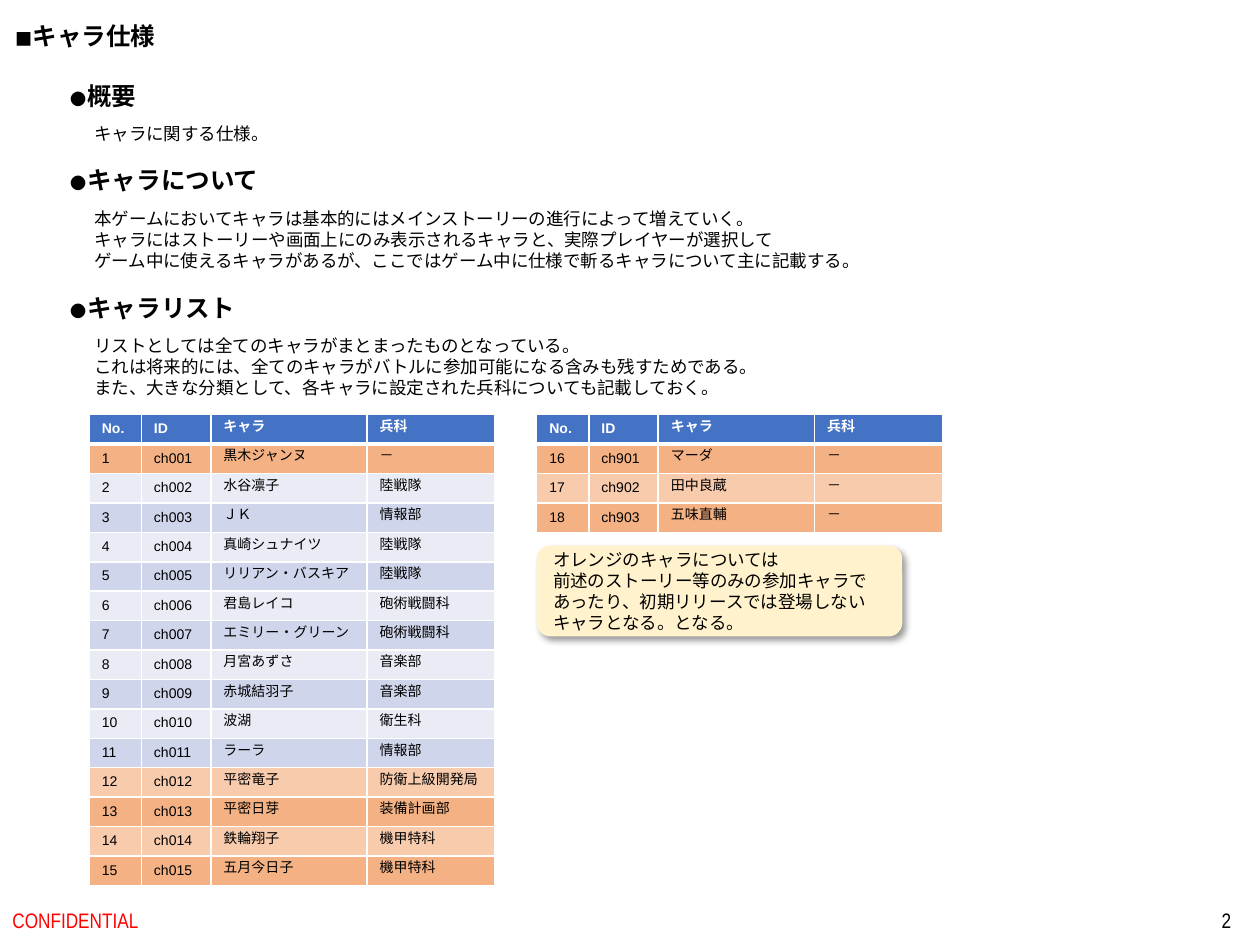
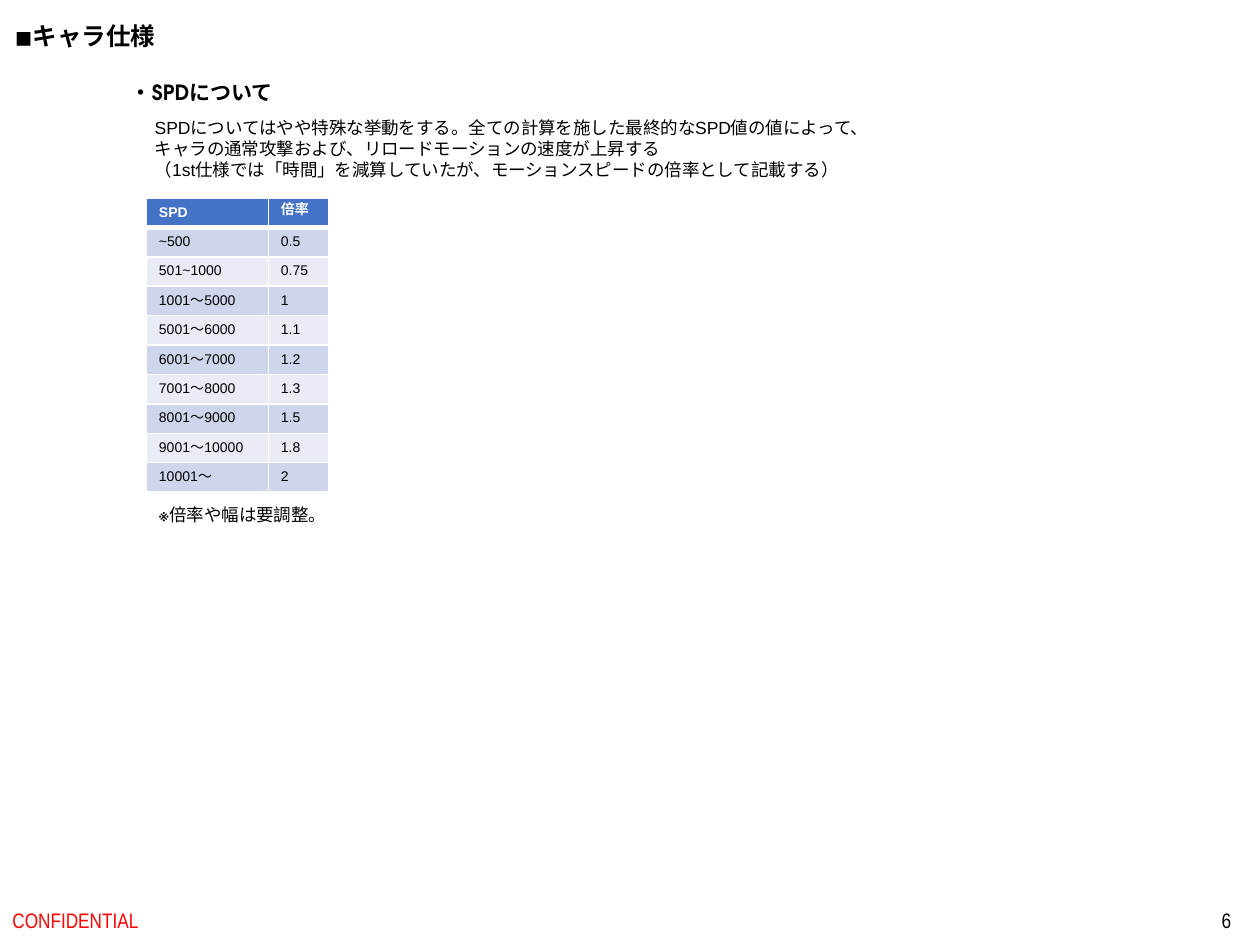
"""Build the two character specification slides."""
from dataclasses import dataclass

from lxml.etree import SubElement as Sub
from pptx import Presentation
from pptx.dml.color import RGBColor as Rgb
from pptx.enum.shapes import MSO_SHAPE as Shape
from pptx.enum.text import MSO_ANCHOR as Anchor, MSO_AUTO_SIZE as Auto, PP_ALIGN as Align
from pptx.oxml.ns import qn
from pptx.util import Cm, Pt


@dataclass(frozen=True)
class Theme:
    """Hold the colours, fonts and type sizes."""
    ink: str = "000000"
    white: str = "FFFFFF"
    red: str = "FF0000"
    head: str = "4472C4"
    note: str = "FFF2CC"
    blue: tuple = ("E9EBF5", "CFD5EA")
    orange: tuple = ("F8CBAD", "F4B183")
    sans: str = "Arial"
    slim: str = "Arial Narrow"
    round: str = "TeX Gyre Adventor"
    title: int = 14
    sub: int = 12
    body: int = 10
    cell: int = 8


T = Theme()
ROW = 0.59
HEADS = ("No.", "ID", "キャラ", "兵科")
WIDTHS = (1.05, 1.4, 3.15, 2.58)
MAIN = (
    ("黒木ジャンヌ", "－"), ("水谷凛子", "陸戦隊"), ("ＪＫ", "情報部"),
    ("真崎シュナイツ", "陸戦隊"), ("リリアン・バスキア", "陸戦隊"),
    ("君島レイコ", "砲術戦闘科"), ("エミリー・グリーン", "砲術戦闘科"),
    ("月宮あずさ", "音楽部"), ("赤城結羽子", "音楽部"), ("波湖", "衛生科"),
    ("ラーラ", "情報部"), ("平密竜子", "防衛上級開発局"), ("平密日芽", "装備計画部"),
    ("鉄輪翔子", "機甲特科"), ("五月今日子", "機甲特科"),
)
EXTRA = (("マーダ", "－"), ("田中良蔵", "－"), ("五味直輔", "－"))
SPEEDS = (
    ("~500", "0.5"), ("501~1000", "0.75"), ("1001～5000", "1"),
    ("5001～6000", "1.1"), ("6001～7000", "1.2"), ("7001～8000", "1.3"),
    ("8001～9000", "1.5"), ("9001～10000", "1.8"), ("10001～", "2"),
)


def write(frame, text, size=T.body, font=T.round, color=T.ink, bold=False, align=Align.LEFT):
    """Write each line of text as a formatted paragraph."""
    for i, line in enumerate(text.split("\n")):
        para = frame.add_paragraph() if i else frame.paragraphs[0]
        para.alignment = align
        run = para.add_run()
        run.text = line
        run.font.size, run.font.name, run.font.bold = Pt(size), font, bold
        run.font.color.rgb = Rgb.from_string(color)
        Sub(run._r.get_or_add_rPr(), qn("a:ea"), typeface=T.round)


def label(slide, box, text, **style):
    """Add a text box that fits its unwrapped lines."""
    frame = slide.shapes.add_textbox(*map(Cm, box)).text_frame
    frame.word_wrap, frame.auto_size = False, Auto.SHAPE_TO_FIT_TEXT
    write(frame, text, **style)


def footer(slide, left, width, text, **style):
    """Add one part of the bottom band."""
    frame = slide.shapes.add_textbox(Cm(left), Cm(18.03), Cm(width), Cm(1.02)).text_frame
    frame.word_wrap, frame.vertical_anchor = True, Anchor.MIDDLE
    write(frame, text, size=T.sub, font=T.slim, **style)


def page(deck, number):
    """Add a blank slide with its title and footers."""
    slide = deck.slides.add_slide(deck.slide_layouts[6])
    label(slide, (0.05, 0.3, 3.5, 0.86), "■キャラ仕様", size=T.title, font=T.sans, bold=True)
    footer(slide, 0, 8.59, "CONFIDENTIAL", color=T.red)
    footer(slide, 19.35, 5.72, str(number), align=Align.RIGHT)
    return slide


def section(slide, top, width, text):
    """Add a section heading."""
    label(slide, (1.14, top, width, 0.86), text, size=T.title, bold=True)


def edge(cell, row):
    """Draw white cell borders, thick under the header."""
    props = cell._tc.get_or_add_tcPr()
    for side in "LRTB":
        thick = (row, side) in ((0, "B"), (1, "T"))
        line = Sub(props, qn(f"a:ln{side}"), w=str(Pt(3 if thick else 1)))
        Sub(Sub(line, qn("a:solidFill")), qn("a:srgbClr"), val=T.white)


def grid(slide, left, top, widths, rows, warm=()):
    """Add a banded table; rows numbered in warm are orange."""
    table = slide.shapes.add_table(len(rows), len(widths), Cm(left), Cm(top),
                                   Cm(sum(widths)), Cm(ROW * len(rows))).table
    table.first_row = table.horz_banding = False
    for col, width in zip(table.columns, widths):
        col.width = Cm(width)
    for r, row in enumerate(rows):
        table.rows[r].height = Cm(ROW)
        band = T.orange if r in warm else T.blue
        for c, text in enumerate(row):
            cell = table.cell(r, c)
            edge(cell, r)
            cell.fill.solid()
            cell.fill.fore_color.rgb = Rgb.from_string(band[r % 2] if r else T.head)
            write(cell.text_frame, text, size=T.cell, font=T.sans,
                  color=T.ink if r else T.white, bold=not r)


def roster(people, number, code):
    """Number the characters under the column heads."""
    return [HEADS] + [(str(number + i), f"ch{code + i:03}", *who)
                      for i, who in enumerate(people)]


def callout(slide, box, text):
    """Add a rounded note with a soft shadow."""
    note = slide.shapes.add_shape(Shape.ROUNDED_RECTANGLE, *map(Cm, box))
    note.adjustments[0] = 0.15
    note.fill.solid()
    note.fill.fore_color.rgb = Rgb.from_string(T.note)
    note.line.fill.background()
    note.shadow.inherit = False
    glow = Sub(note._element.spPr.find(qn("a:effectLst")), qn("a:outerShdw"),
               blurRad=str(Pt(4)), dist=str(Pt(3)), dir="2700000", algn="tl", rotWithShape="0")
    Sub(Sub(glow, qn("a:srgbClr"), val=T.ink), qn("a:alpha"), val="40000")
    note.text_frame.word_wrap, note.text_frame.vertical_anchor = True, Anchor.MIDDLE
    write(note.text_frame, text)


def cast(deck):
    """Build the character list slide."""
    slide = page(deck, 2)
    section(slide, 1.5, 2.01, "●概要")
    label(slide, (1.65, 2.36, 4.06, 0.69), "キャラに関する仕様。")
    section(slide, 3.2, 4.5, "●キャラについて")
    label(slide, (1.65, 4.06, 16.18, 1.55),
          "本ゲームにおいてキャラは基本的にはメインストーリーの進行によって増えていく。\n"
          "キャラにはストーリーや画面上にのみ表示されるキャラと、実際プレイヤーが選択して\n"
          "ゲーム中に使えるキャラがあるが、ここではゲーム中に仕様で斬るキャラについて主に記載する。")
    section(slide, 5.79, 4.01, "●キャラリスト")
    label(slide, (1.65, 6.63, 14.05, 1.55),
          "リストとしては全てのキャラがまとまったものとなっている。\n"
          "これは将来的には、全てのキャラがバトルに参加可能になる含みも残すためである。\n"
          "また、大きな分類として、各キャラに設定された兵科についても記載しておく。")
    grid(slide, 1.8, 8.36, WIDTHS, roster(MAIN, 1, 1), warm=(1, 12, 13, 14, 15))
    grid(slide, 10.82, 8.36, WIDTHS, roster(EXTRA, 16, 901), warm=(1, 2, 3))
    callout(slide, (10.82, 11, 7.37, 1.83),
            "オレンジのキャラについては\n"
            "前述のストーリー等のみの参加キャラであったり、"
            "初期リリースでは登場しないキャラとなる。となる。")


def speed(deck):
    """Build the speed rule slide."""
    slide = page(deck, 6)
    label(slide, (2.87, 2.24, 15.11, 1.55),
          "SPDについてはやや特殊な挙動をする。全ての計算を施した最終的なSPD値の値によって、\n"
          "キャラの通常攻撃および、リロードモーションの速度が上昇する\n"
          "（1st仕様では「時間」を減算していたが、モーションスピードの倍率として記載する）",
          font=T.sans)
    label(slide, (2.39, 1.47, 4.5, 0.76), "・SPDについて", size=T.sub, bold=True)
    label(slide, (2.95, 10.03, 4.06, 0.69), "※倍率や幅は要調整。", font=T.sans)
    grid(slide, 2.95, 3.99, (2.46, 1.22), [("SPD", "倍率"), *SPEEDS])


def main():
    """Build and save the deck."""
    deck = Presentation()
    deck.slide_width, deck.slide_height = Cm(25.4), Cm(19.05)
    cast(deck)
    speed(deck)
    deck.save("out.pptx")


if __name__ == "__main__":
    main()
